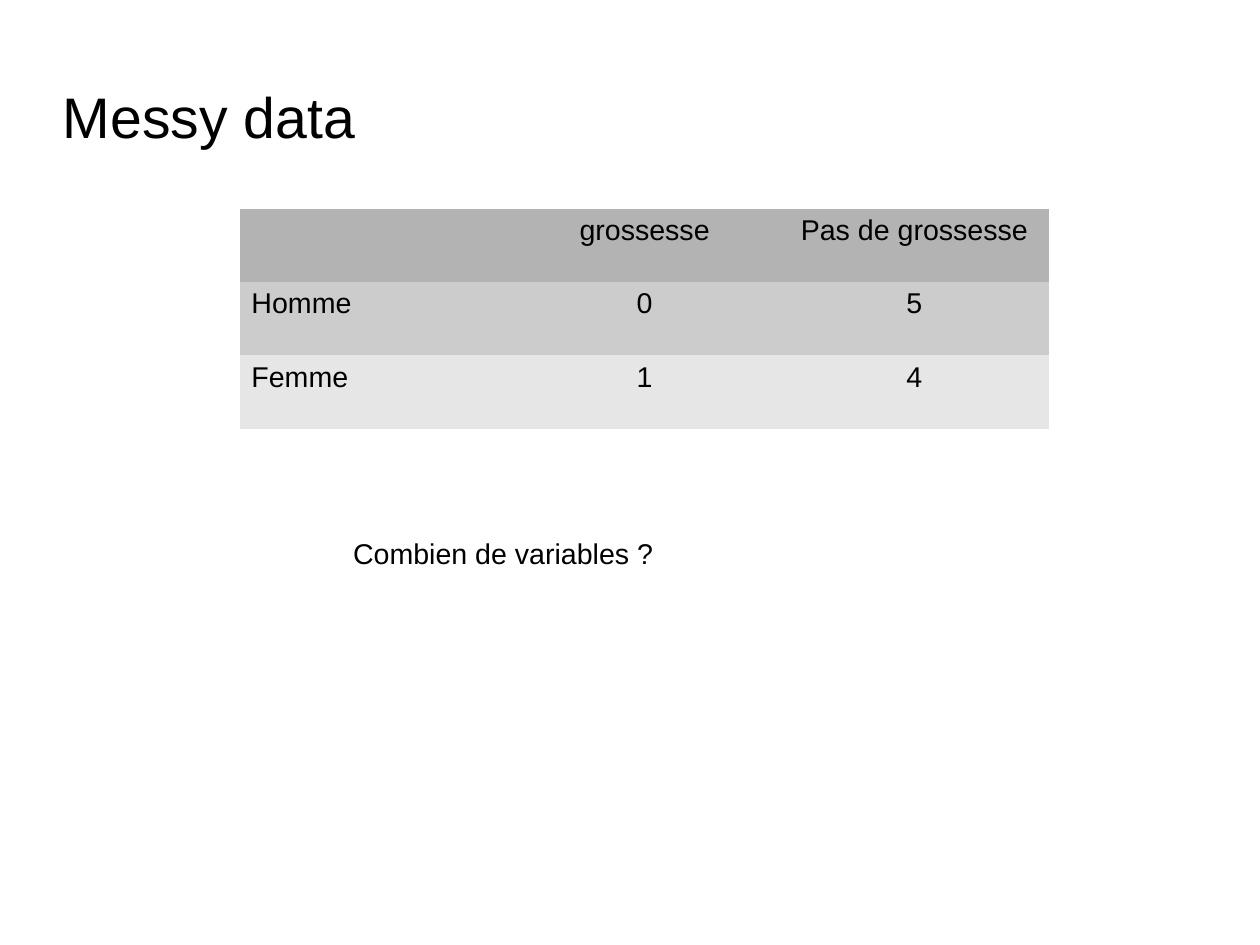
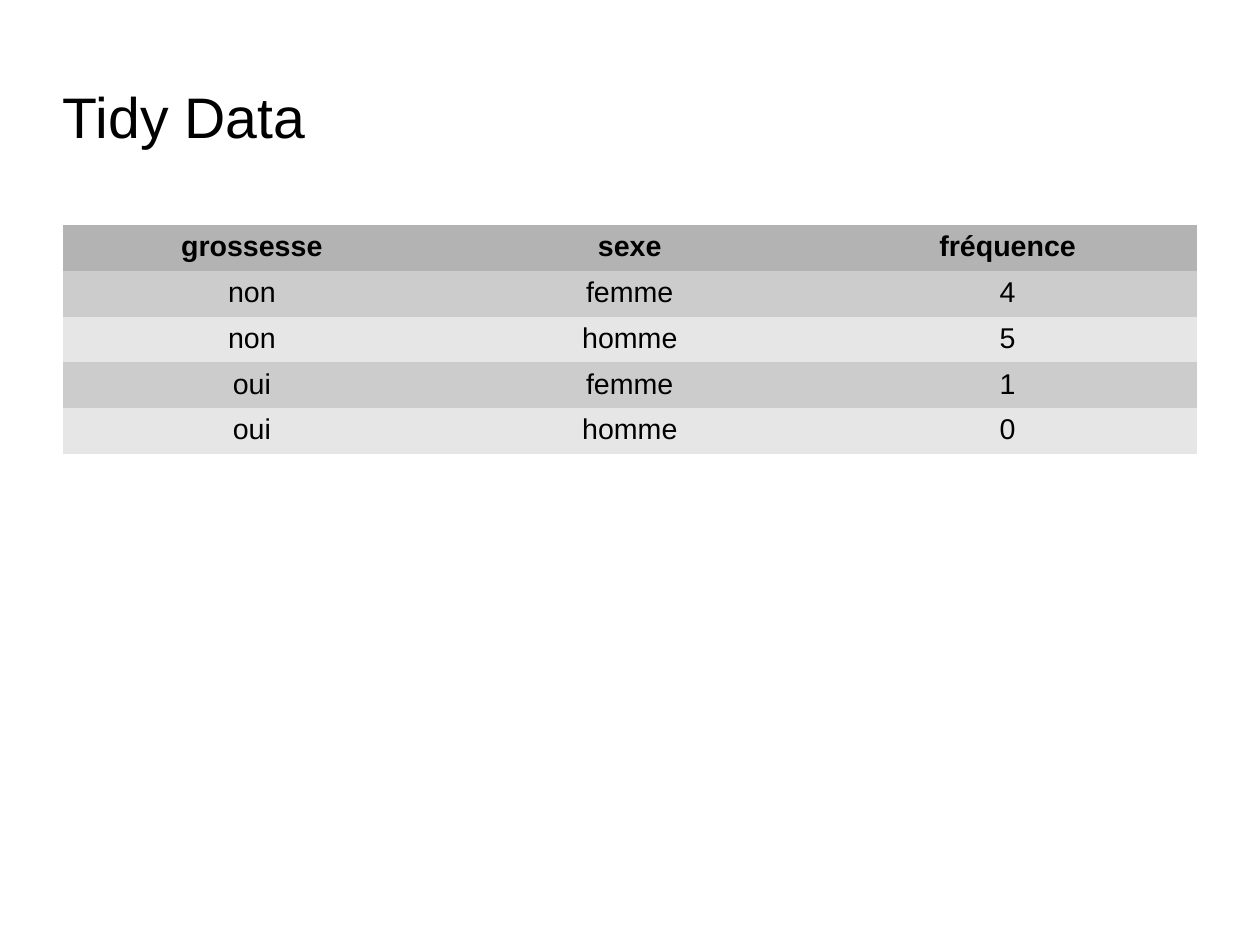
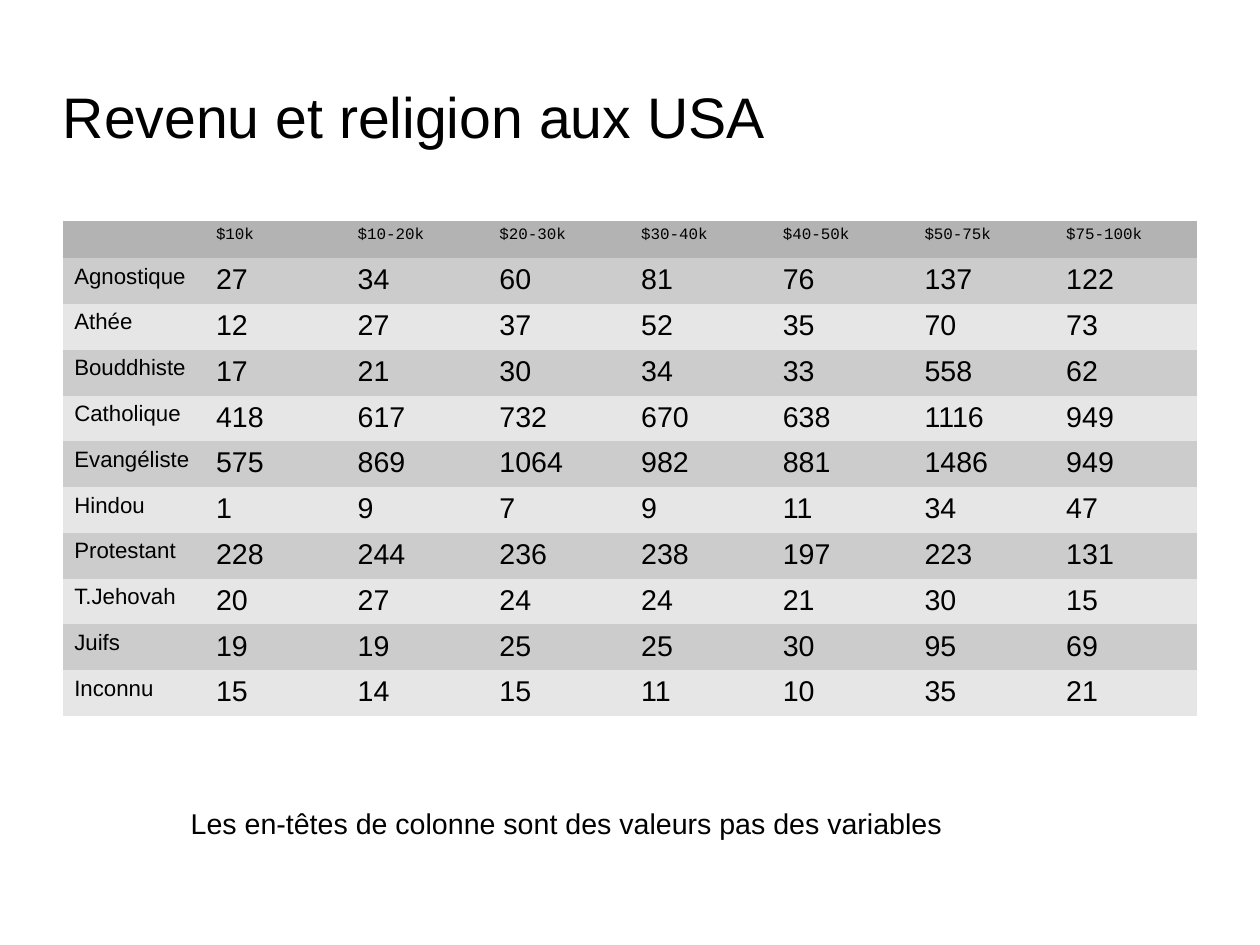
from dataclasses import dataclass
from typing import Optional

from lxml.etree import SubElement
from pptx import Presentation
from pptx.dml.color import RGBColor
from pptx.enum.text import MSO_ANCHOR, PP_ALIGN
from pptx.oxml.ns import qn
from pptx.slide import Slide
from pptx.text.text import TextFrame
from pptx.util import Inches, Pt

NO_STYLE_NO_GRID = "{2D5ABB26-0587-4C30-8999-92F81FD0307C}"
CM_PER_INCH = 2.54


@dataclass(frozen=True)
class Theme:
    ink: str = "000000"
    header_fill: str = "B3B3B3"
    band_fills: tuple[str, str] = ("CCCCCC", "E6E6E6")
    font: str = "Arial"
    code_font: str = "Courier New"
    title_size: int = 36
    body_size: int = 18
    label_size: int = 14
    code_size: int = 10


THEME = Theme()


@dataclass(frozen=True)
class Box:
    left: float
    top: float
    width: float
    height: float

    def lengths(self) -> tuple[Inches, Inches, Inches, Inches]:
        return Inches(self.left), Inches(self.top), Inches(self.width), Inches(self.height)


@dataclass(frozen=True)
class Grid:
    """A table; the height of its box is the sum of its row heights."""
    left: float
    top: float
    width: float
    header_height: float
    row_height: float
    rows: list[list[str]]
    align: PP_ALIGN = PP_ALIGN.CENTER
    label_align: PP_ALIGN = PP_ALIGN.LEFT
    label_size: int = THEME.body_size
    header_font: str = THEME.font
    header_size: int = THEME.body_size
    header_bold: bool = False


@dataclass(frozen=True)
class Remark:
    text: str
    box: Box
    wrap: bool = True


@dataclass(frozen=True)
class Page:
    title: str
    grid: Grid
    remark: Optional[Remark] = None


TITLE_BOX = Box(0.55, 0.62, 7.87, 0.79)

INCOME_BY_RELIGION = """
Agnostique 27 34 60 81 76 137 122
Athée 12 27 37 52 35 70 73
Bouddhiste 17 21 30 34 33 558 62
Catholique 418 617 732 670 638 1116 949
Evangéliste 575 869 1064 982 881 1486 949
Hindou 1 9 7 9 11 34 47
Protestant 228 244 236 238 197 223 131
T.Jehovah 20 27 24 24 21 30 15
Juifs 19 19 25 25 30 95 69
Inconnu 15 14 15 11 10 35 21
"""

PAGES = [
    Page(
        "Messy data",
        Grid(2.1, 1.83, 7.08, 0.64, 0.64, [
            ["", "grossesse", "Pas de grossesse"],
            ["Homme", "0", "5"],
            ["Femme", "1", "4"],
        ]),
        Remark("Combien de variables ?", Box(2.99, 4.64, 5.35, 0.38)),
    ),
    Page(
        "Tidy Data",
        Grid(0.55, 1.97, 9.92, 0.4, 0.4, [
            ["grossesse", "sexe", "fréquence"],
            ["non", "femme", "4"],
            ["non", "homme", "5"],
            ["oui", "femme", "1"],
            ["oui", "homme", "0"],
        ], label_align=PP_ALIGN.CENTER, header_bold=True),
    ),
    Page(
        "Revenu et religion aux USA",
        Grid(
            0.55, 1.93, 9.92, 0.33, 0.4,
            [["", "$10k", "$10-20k", "$20-30k", "$30-40k", "$40-50k", "$50-75k", "$75-100k"]]
            + [line.split() for line in INCOME_BY_RELIGION.strip().splitlines()],
            align=PP_ALIGN.LEFT,
            label_size=THEME.label_size,
            header_font=THEME.code_font,
            header_size=THEME.code_size,
        ),
        Remark("Les en-têtes de colonne sont des valeurs pas des variables",
               Box(1.57, 7, 6.77, 0.38), wrap=False),
    ),
]


def write(frame: TextFrame, text: str, *, size: int = THEME.body_size,
          font: str = THEME.font, bold: bool = False,
          align: PP_ALIGN = PP_ALIGN.LEFT) -> None:
    paragraph = frame.paragraphs[0]
    paragraph.alignment = align
    if not text:
        # The size of an empty paragraph still sets the least row height.
        SubElement(paragraph._p, qn("a:endParaRPr"), sz=str(size * 100))
        return
    run = paragraph.add_run()
    run.text = text
    run.font.size = Pt(size)
    run.font.name = font
    run.font.bold = bold
    run.font.color.rgb = RGBColor.from_string(THEME.ink)


def add_title(slide: Slide, title: str) -> None:
    frame = slide.shapes.add_textbox(*TITLE_BOX.lengths()).text_frame
    frame.word_wrap = True
    frame.vertical_anchor = MSO_ANCHOR.MIDDLE
    frame.margin_left = frame.margin_top = frame.margin_right = frame.margin_bottom = 0
    write(frame, title, size=THEME.title_size)


def add_remark(slide: Slide, remark: Remark) -> None:
    frame = slide.shapes.add_textbox(*remark.box.lengths()).text_frame
    frame.word_wrap = remark.wrap
    write(frame, remark.text)


def add_grid(slide: Slide, grid: Grid) -> None:
    row_count, column_count = len(grid.rows), len(grid.rows[0])
    height = grid.header_height + grid.row_height * (row_count - 1)
    box = Box(grid.left, grid.top, grid.width, height)
    table = slide.shapes.add_table(row_count, column_count, *box.lengths()).table
    table.first_row = table.horz_banding = False
    table._tbl.tblPr.find(qn("a:tableStyleId")).text = NO_STYLE_NO_GRID

    for r, values in enumerate(grid.rows):
        is_header = r == 0
        table.rows[r].height = Inches(grid.header_height if is_header else grid.row_height)
        fill = THEME.header_fill if is_header else THEME.band_fills[(r - 1) % 2]
        for c, value in enumerate(values):
            cell = table.cell(r, c)
            cell.fill.solid()
            cell.fill.fore_color.rgb = RGBColor.from_string(fill)
            align = grid.label_align if c == 0 else grid.align
            if is_header:
                write(cell.text_frame, value, size=grid.header_size, font=grid.header_font,
                      bold=grid.header_bold, align=align)
            else:
                size = grid.label_size if c == 0 else THEME.body_size
                write(cell.text_frame, value, size=size, align=align)


def main() -> None:
    deck = Presentation()
    deck.slide_width = Inches(28 / CM_PER_INCH)
    deck.slide_height = Inches(21 / CM_PER_INCH)
    blank_layout = deck.slide_layouts[6]
    for page in PAGES:
        slide = deck.slides.add_slide(blank_layout)
        add_title(slide, page.title)
        add_grid(slide, page.grid)
        if page.remark:
            add_remark(slide, page.remark)
    deck.save("out.pptx")


if __name__ == "__main__":
    main()
